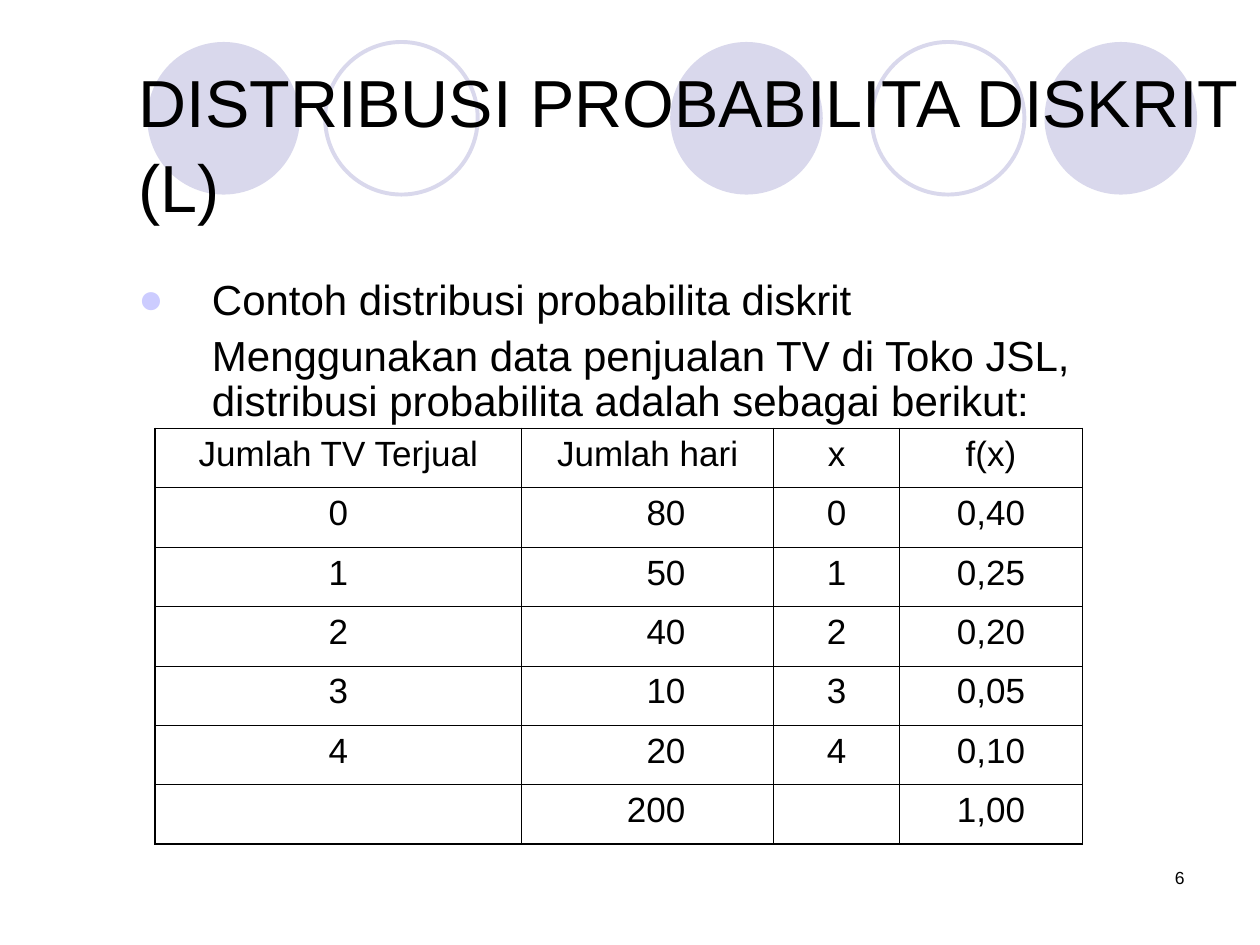
from lxml import etree
from pptx import Presentation
from pptx.dml.color import RGBColor
from pptx.enum import shapes, text
from pptx.oxml import ns
from pptx.util import Pt

BLACK = RGBColor(0, 0, 0)
LILAC = RGBColor(0xD9, 0xD8, 0xEC)
BULLET = RGBColor(0xCC, 0xCC, 0xFF)
FONT = "Arial"
LEFT, CENTER, RIGHT = text.PP_ALIGN.LEFT, text.PP_ALIGN.CENTER, text.PP_ALIGN.RIGHT

TITLE = "DISTRIBUSI PROBABILITA DISKRIT (L)"
BODY = [
    "Contoh distribusi probabilita diskrit",
    "Menggunakan data penjualan TV di Toko JSL, "
    "distribusi probabilita adalah sebagai berikut:",
]
ROWS = [
    ("Jumlah TV Terjual", "Jumlah hari", "x", "f(x)"),
    ("0", "80", "0", "0,40"),
    ("1", "50", "1", "0,25"),
    ("2", "40", "2", "0,20"),
    ("3", "10", "3", "0,05"),
    ("4", "20", "4", "0,10"),
    ("", "200", "", "1,00"),
]
WIDTHS = [209.5, 144, 72, 104.4]
ROW_H = 33.95
THIN, THICK = 0.45, 1.08
DIAM = 87.2
CIRCLES = [  # left, filled
    (84.2, True), (185.8, False), (383, True), (498.2, False), (596.9, True),
]


def style(par, size, align=LEFT):
    par.alignment = align
    par.font.size = Pt(size)
    par.font.name = FONT
    par.font.color.rgb = BLACK


def add_box(slide, left, top, width, height):
    box = slide.shapes.add_textbox(Pt(left), Pt(top), Pt(width), Pt(height))
    box.text_frame.word_wrap = True
    return box.text_frame


def add_circle(slide, left, filled):
    ring = slide.shapes.add_shape(
        shapes.MSO_SHAPE.OVAL, Pt(left), Pt(24), Pt(DIAM), Pt(DIAM))
    ring.shadow.inherit = False
    if filled:
        ring.fill.solid()
        ring.fill.fore_color.rgb = LILAC
        ring.line.fill.background()
    else:
        ring.fill.background()
        ring.line.color.rgb = LILAC
        ring.line.width = Pt(2.25)


def set_indent(par, left, first=0, bullet=False):
    """Set the margin, the first-line indent and an optional round bullet."""
    props = par._p.get_or_add_pPr()
    props.set("marL", str(Pt(left)))
    props.set("indent", str(Pt(first)))
    if bullet:
        tint = etree.SubElement(props, ns.qn("a:buClr"))
        etree.SubElement(tint, ns.qn("a:srgbClr"), val=str(BULLET))
        etree.SubElement(props, ns.qn("a:buFont"), typeface=FONT)
        etree.SubElement(props, ns.qn("a:buChar"), char="●")
    else:
        etree.SubElement(props, ns.qn("a:buNone"))


def set_borders(cell, sides):
    """Draw black borders; sides maps L, R, T, B to widths in points."""
    props = cell._tc.get_or_add_tcPr()
    for spot, side in enumerate("LRTB"):
        line = etree.Element(ns.qn(f"a:ln{side}"), w=str(Pt(sides[side])))
        fill = etree.SubElement(line, ns.qn("a:solidFill"))
        etree.SubElement(fill, ns.qn("a:srgbClr"), val=str(BLACK))
        props.insert(spot, line)


def add_grid(slide):
    last_r, last_c = len(ROWS) - 1, len(WIDTHS) - 1
    grid = slide.shapes.add_table(
        len(ROWS), len(WIDTHS), Pt(88.6), Pt(244.8),
        Pt(sum(WIDTHS)), Pt(ROW_H * len(ROWS))).table
    grid.first_row = grid.horz_banding = False
    for col, width in zip(grid.columns, WIDTHS):
        col.width = Pt(width)
    for r, row in enumerate(ROWS):
        grid.rows[r].height = Pt(ROW_H)
        for c, words in enumerate(row):
            cell = grid.cell(r, c)
            cell.fill.background()
            cell.text_frame.text = words
            days = c == 1 and r > 0
            style(cell.text_frame.paragraphs[0], 20, RIGHT if days else CENTER)
            if days:
                cell.margin_right = Pt(50.4)
            set_borders(cell, {
                "L": THIN if c else THICK,
                "R": THICK if c == last_c else THIN,
                "T": THIN if r else THICK,
                "B": THICK if r == last_r else THIN,
            })


def main():
    prs = Presentation()
    prs.slide_width, prs.slide_height = Pt(720), Pt(540)
    slide = prs.slides.add_slide(prs.slide_layouts[5])

    for left, filled in CIRCLES:
        add_circle(slide, left, filled)

    number = add_box(slide, 516, 492, 168, 36)
    number.text = "6"
    style(number.paragraphs[0], 10, RIGHT)

    title = slide.shapes.title
    title.left, title.top, title.width, title.height = Pt(72), Pt(24), Pt(648), Pt(113)
    frame = title.text_frame
    frame.text = TITLE
    frame.word_wrap = True
    frame.auto_size = text.MSO_AUTO_SIZE.NONE
    frame.vertical_anchor = text.MSO_ANCHOR.MIDDLE
    style(frame.paragraphs[0], 38)
    frame.paragraphs[0].line_spacing = 1.06
    title.element.getparent().append(title.element)  # in front of the circles

    body = add_box(slide, 72, 156, 630, 336)
    body.text = "\n".join(BODY)
    lead, more = body.paragraphs
    set_indent(lead, 42, -42, bullet=True)
    set_indent(more, 42)
    for par in body.paragraphs:
        style(par, 24)
        par.line_spacing = 0.9
    more.space_before = Pt(6)

    add_grid(slide)
    prs.save("out.pptx")


if __name__ == "__main__":
    main()
